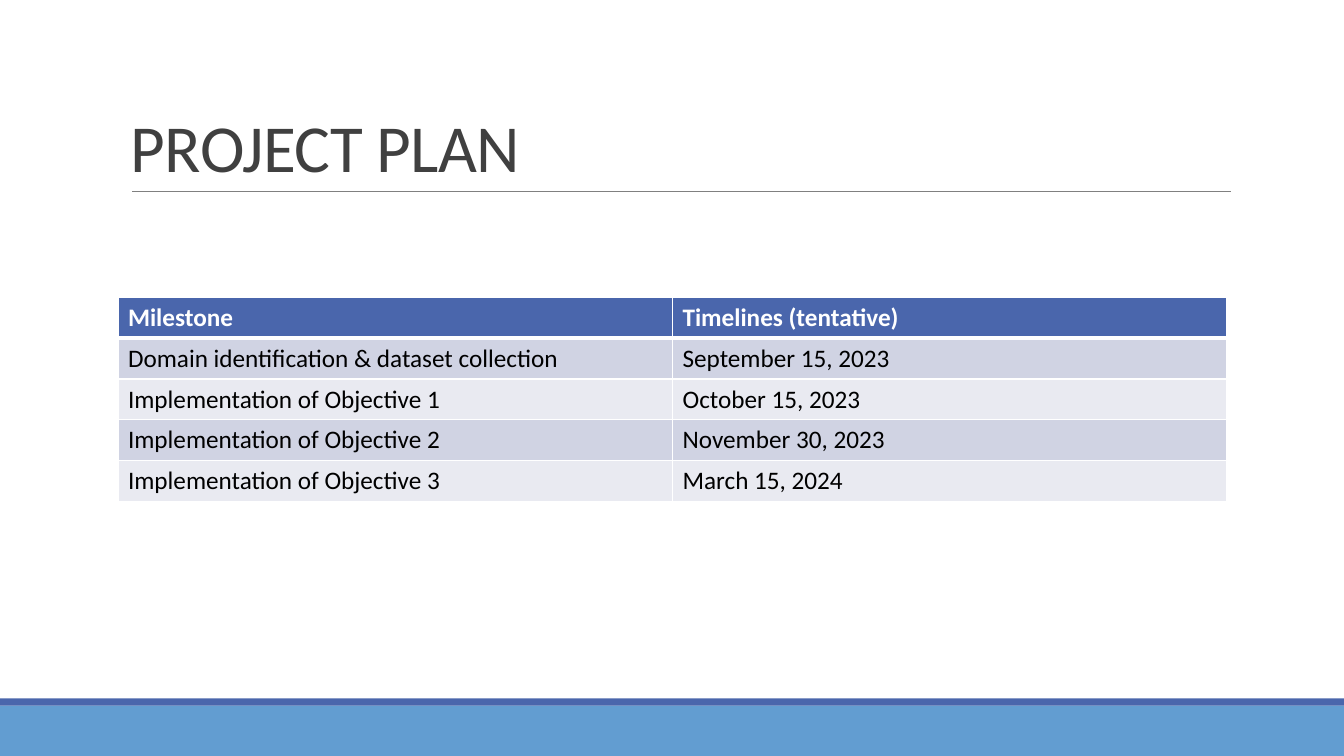
from dataclasses import dataclass

from lxml.etree import SubElement
from pptx import Presentation
from pptx.dml.color import RGBColor
from pptx.enum.shapes import MSO_CONNECTOR, MSO_SHAPE
from pptx.enum.text import MSO_ANCHOR
from pptx.oxml.ns import qn
from pptx.util import Inches, Pt

FONT = "Calibri"
WHITE = "FFFFFF"
NAVY = "4A66AC"
BAND_FILLS = ("E9EAF1", "D0D3E3")
ROW_HEIGHT = 0.405
COLUMN_WIDTH = 5.5


@dataclass(frozen=True)
class Bar:
    top: float
    height: float
    fill: str


@dataclass(frozen=True)
class Milestone:
    name: str
    timeline: str


FOOTER_BARS = (Bar(7, 0.5, "629DD1"), Bar(6.93, 0.07, NAVY))
PLAN = (
    Milestone("Milestone", "Timelines (tentative)"),
    Milestone("Domain identification & dataset collection", "September 15, 2023"),
    Milestone("Implementation of Objective 1", "October 15, 2023"),
    Milestone("Implementation of Objective 2", "November 30, 2023"),
    Milestone("Implementation of Objective 3", "March 15, 2024"),
)


def color(value: str) -> RGBColor:
    return RGBColor.from_string(value)


def style_font(paragraph, size: float, value: str, bold: bool = False) -> None:
    font = paragraph.font
    font.name = FONT
    font.size = Pt(size)
    font.bold = bold
    font.color.rgb = color(value)


def draw_bar(slide, bar: Bar) -> None:
    shape = slide.shapes.add_shape(
        MSO_SHAPE.RECTANGLE, 0, Inches(bar.top), Inches(13.33), Inches(bar.height)
    )
    shape.shadow.inherit = False
    shape.fill.solid()
    shape.fill.fore_color.rgb = color(bar.fill)
    shape.line.fill.background()


def draw_title_rule(slide) -> None:
    rule = slide.shapes.add_connector(
        MSO_CONNECTOR.STRAIGHT, Inches(1.31), Inches(1.9), Inches(12.21), Inches(1.9)
    )
    rule.line.color.rgb = color("808080")
    rule.line.width = Pt(0.5)
    SubElement(rule._element.spPr, qn("a:effectLst"))


def draw_title(slide, text: str) -> None:
    box = slide.shapes.add_textbox(Inches(1.2), Inches(0.31), Inches(11), Inches(1.59))
    frame = box.text_frame
    frame.word_wrap = True
    frame.vertical_anchor = MSO_ANCHOR.BOTTOM
    paragraph = frame.paragraphs[0]
    run = paragraph.add_run()
    run.text = text
    paragraph.line_spacing = 0.85
    style_font(paragraph, 48, "404040")
    run._r.get_or_add_rPr().set("spc", "-50")


def set_borders(cell, top: float, bottom: float) -> None:
    properties = cell._tc.get_or_add_tcPr()
    for side, width in (("L", 1), ("R", 1), ("T", top), ("B", bottom)):
        line = SubElement(properties, qn(f"a:ln{side}"), w=str(Pt(width)))
        fill = SubElement(line, qn("a:solidFill"))
        SubElement(fill, qn("a:srgbClr"), val=WHITE)


def draw_plan(slide, plan: tuple[Milestone, ...]) -> None:
    table = slide.shapes.add_table(
        len(plan), 2, Inches(1.17), Inches(2.95),
        Inches(2 * COLUMN_WIDTH), Inches(len(plan) * ROW_HEIGHT),
    ).table
    for index, milestone in enumerate(plan):
        header = index == 0
        for column, text in enumerate((milestone.name, milestone.timeline)):
            cell = table.cell(index, column)
            cell.text = text
            style_font(cell.text_frame.paragraphs[0], 18, WHITE if header else "000000", header)
            set_borders(cell, top=3 if index == 1 else 1, bottom=3 if header else 1)
            cell.fill.solid()
            cell.fill.fore_color.rgb = color(NAVY if header else BAND_FILLS[index % 2])


def main() -> None:
    presentation = Presentation()
    presentation.slide_width = Inches(13.33)
    presentation.slide_height = Inches(7.5)
    slide = presentation.slides.add_slide(presentation.slide_layouts[6])
    for bar in FOOTER_BARS:
        draw_bar(slide, bar)
    draw_title_rule(slide)
    draw_title(slide, "PROJECT PLAN")
    draw_plan(slide, PLAN)
    presentation.save("out.pptx")


if __name__ == "__main__":
    main()
